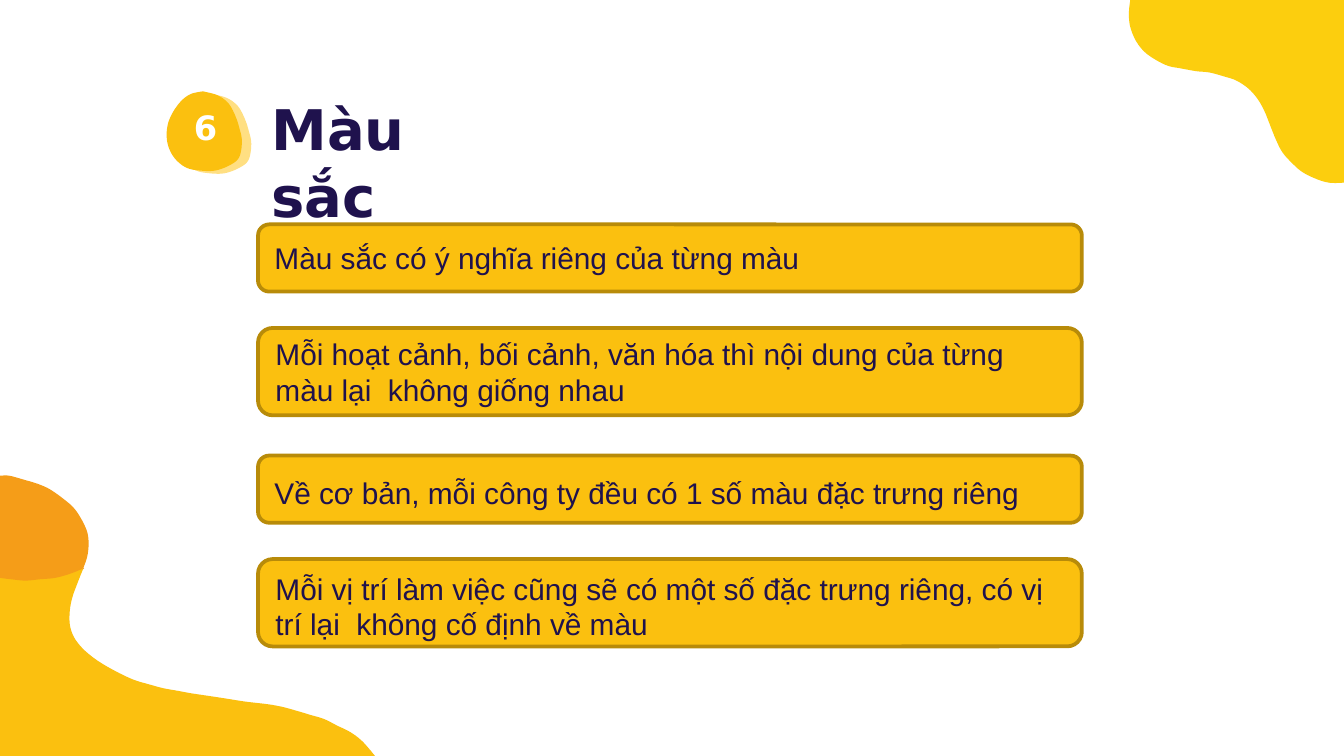
from pptx import Presentation
from pptx.dml.color import RGBColor
from pptx.enum.shapes import MSO_SHAPE
from pptx.enum.text import MSO_ANCHOR, MSO_AUTO_SIZE, PP_ALIGN
from pptx.util import Inches, Pt

ROUNDED = MSO_SHAPE.ROUNDED_RECTANGLE
TOP, MIDDLE = MSO_ANCHOR.TOP, MSO_ANCHOR.MIDDLE
LEFT, CENTER = PP_ALIGN.LEFT, PP_ALIGN.CENTER
GROW = MSO_AUTO_SIZE.SHAPE_TO_FIT_TEXT

WIDTH = 10
HEIGHT = WIDTH * 9 / 16
NAVY, AMBER, BROWN = "1F124D", "FBC00F", "B88B09"
ORANGE, YELLOW, CREAM, WHITE = "F59D18", "FCCE0E", "FFDF82", "FFFFFF"

TITLE, NUMBER = "Màu sắc", "6"
POINTS = [
    ("Màu sắc có ý nghĩa riêng của từng màu", 0.5, 0),
    ("Mỗi hoạt cảnh, bối cảnh, văn hóa thì nội dung của từng màu lại  không giống nhau", 0.65, 0),
    ("Về cơ bản, mỗi công ty đều có 1 số màu đặc trưng riêng", 0.5, 0.05),
    ("Mỗi vị trí làm việc cũng sẽ có một số đặc trưng riêng, có vị trí lại  không cố định về màu", 0.65, 0.05),
]
CARD_LEFT, CARD_WIDTH = 1.92, 6.13
FIRST_TOP, ROW_STEP, PAIR_STEP = 1.67, 0.77, 1.72

WAVE = [(0.62, 4.23), (0.58, 4.33), (0.54, 4.44), (0.52, 4.54), (0.52, 4.65),
        (0.55, 4.74), (0.61, 4.82), (0.69, 4.89), (0.78, 4.95), (0.89, 5.01),
        (1, 5.06), (1.1, 5.09), (1.21, 5.12), (1.32, 5.14), (1.43, 5.16),
        (1.63, 5.19), (1.82, 5.22), (1.99, 5.24), (2.1, 5.26), (2.21, 5.29),
        (2.31, 5.32), (2.41, 5.35), (2.51, 5.4), (2.61, 5.45), (2.7, 5.52),
        (2.79, HEIGHT)]
WAVE_CORNERS = [(0, HEIGHT), (0, 4.3)]
SUN = [(0, 3.54), (0.07, 3.54), (0.18, 3.57), (0.28, 3.6), (0.37, 3.64),
       (0.47, 3.71), (0.55, 3.78), (0.61, 3.87), (0.65, 3.96), (0.66, 4.05),
       (0.65, 4.14), (0.62, 4.23), (0.62, 4.23), (0.52, 4.27), (0.41, 4.3),
       (0.3, 4.31), (0.19, 4.32), (0.08, 4.31), (0, 4.3)]
CLOUD = [(8.41, 0), (8.4, 0.1), (8.41, 0.2), (8.45, 0.3), (8.51, 0.38),
         (8.59, 0.44), (8.69, 0.49), (8.79, 0.51), (8.9, 0.53), (9, 0.54),
         (9.11, 0.57), (9.2, 0.6), (9.29, 0.66), (9.36, 0.74), (9.41, 0.83),
         (9.45, 0.93), (9.49, 1.03), (9.54, 1.13), (9.61, 1.21), (9.69, 1.28),
         (9.79, 1.33), (9.89, 1.36), (WIDTH, 1.36)]
CLOUD_CORNERS = [(WIDTH, 0)]
BADGE = [(1.51, 0.68), (1.42, 0.7), (1.35, 0.75), (1.29, 0.83), (1.25, 0.92),
         (1.24, 1.02), (1.26, 1.11), (1.31, 1.19), (1.39, 1.25), (1.49, 1.27),
         (1.6, 1.27), (1.71, 1.23), (1.78, 1.17), (1.8, 1.05), (1.78, 0.95),
         (1.75, 0.86), (1.7, 0.77), (1.62, 0.71), (1.51, 0.68)]
BADGE_SHIFT = (0.07, 0.02)


def colour(value):
    return RGBColor.from_string(value)


def smooth(knots, steps=5):
    padded = [knots[0], *knots, knots[-1]]
    curve = []
    for a, b, c, d in zip(padded, padded[1:], padded[2:], padded[3:]):
        for step in range(steps):
            t = step / steps
            curve.append(tuple(
                q + t * (r - p + t * (2 * p - 5 * q + 4 * r - s + t * (3 * (q - r) + s - p))) / 2
                for p, q, r, s in zip(a, b, c, d)))
    return curve + [knots[-1]]


def paint(shape, fill, line=None):
    shape.shadow.inherit = False
    shape.fill.solid()
    shape.fill.fore_color.rgb = colour(fill)
    if line:
        shape.line.color.rgb = colour(line)
        shape.line.width = Pt(2)
    else:
        shape.line.fill.background()


def add_blob(slide, knots, fill, corners=(), shift=(0, 0)):
    outline = [(Inches(x + shift[0]), Inches(y + shift[1]))
               for x, y in [*smooth(knots), *corners]]
    builder = slide.shapes.build_freeform(*outline[0])
    builder.add_line_segments(outline[1:], close=True)
    blob = builder.convert_to_shape()
    paint(blob, fill)
    return blob


def write(shape, text, size, font="Arial", ink=NAVY, bold=False, align=LEFT,
          anchor=MIDDLE, insets=(0, 0, 0, 0)):
    frame = shape.text_frame
    frame.word_wrap = True
    frame.vertical_anchor = anchor
    (frame.margin_left, frame.margin_top,
     frame.margin_right, frame.margin_bottom) = map(Inches, insets)
    paragraph = frame.paragraphs[0]
    paragraph.alignment = align
    run = paragraph.add_run()
    run.text = text
    run.font.name, run.font.size, run.font.bold = font, Pt(size), bold
    run.font.color.rgb = colour(ink)


def main():
    deck = Presentation()
    deck.slide_width, deck.slide_height = Inches(WIDTH), Inches(HEIGHT)
    slide = deck.slides.add_slide(deck.slide_layouts[5])

    add_blob(slide, WAVE, AMBER, WAVE_CORNERS)
    add_blob(slide, SUN, ORANGE)
    add_blob(slide, CLOUD, YELLOW, CLOUD_CORNERS)

    title = slide.shapes.title
    title.left, title.top, title.width, title.height = map(Inches, (2.01, 0.69, 1.81, 0.53))
    write(title, TITLE, 30, font="DejaVu Sans", bold=True, anchor=TOP,
          insets=(0.01, 0.01, 0, 0))
    title.text_frame.auto_size = GROW

    add_blob(slide, BADGE, CREAM, shift=BADGE_SHIFT)
    badge = add_blob(slide, BADGE, AMBER)
    write(badge, NUMBER, 18, font="DejaVu Sans", ink=WHITE, bold=True,
          align=CENTER, insets=(0.02, 0, 0, 0.06))

    for index, (point, height, drop) in enumerate(POINTS):
        pair, row = divmod(index, 2)
        top = FIRST_TOP + pair * PAIR_STEP + row * ROW_STEP
        card = slide.shapes.add_shape(
            ROUNDED, *map(Inches, (CARD_LEFT, top, CARD_WIDTH, height)))
        paint(card, AMBER, BROWN)
        write(card, point, 16, insets=(0.1, drop, 0.2, 0))

    deck.save("out.pptx")


if __name__ == "__main__":
    main()
